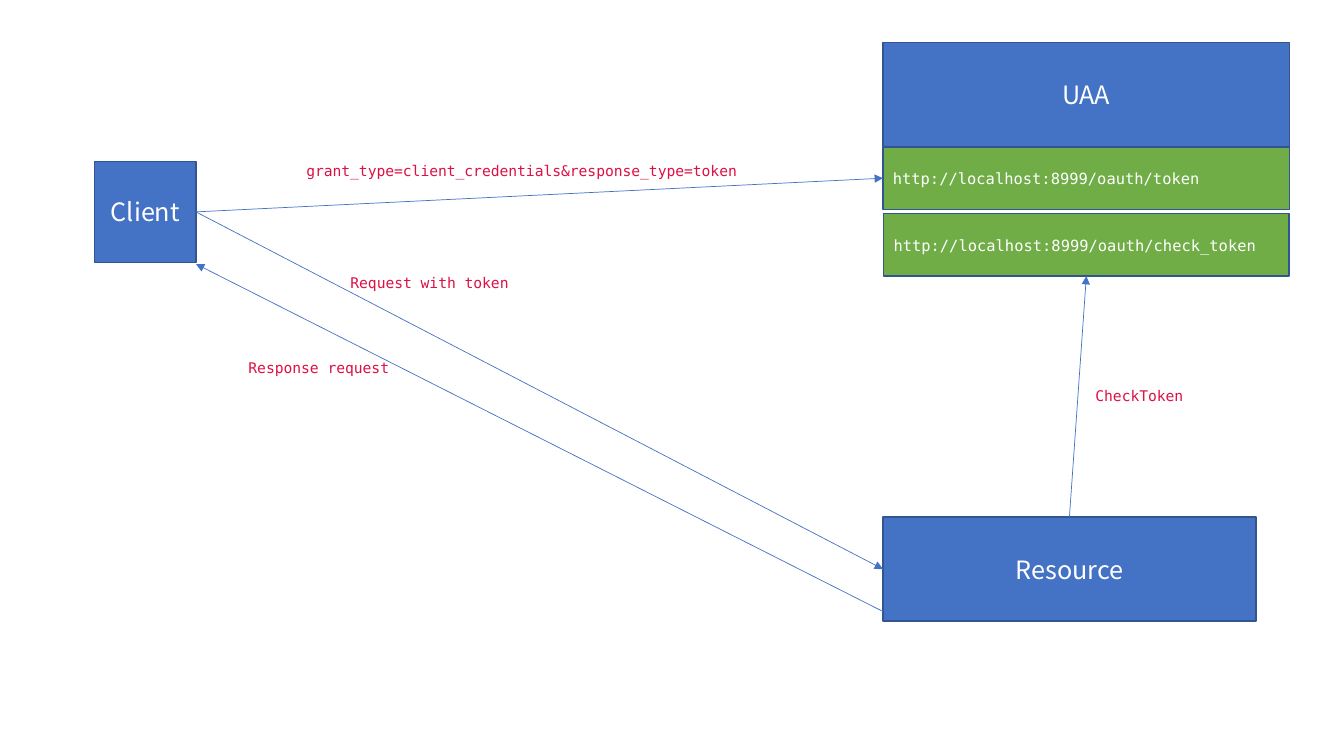
from lxml import etree
from pptx import Presentation
from pptx.dml.color import RGBColor
from pptx.enum.shapes import MSO_CONNECTOR, MSO_SHAPE
from pptx.enum.text import MSO_ANCHOR, MSO_AUTO_SIZE, PP_ALIGN
from pptx.oxml.ns import qn
from pptx.util import Pt

RECTANGLE = MSO_SHAPE.RECTANGLE
STRAIGHT = MSO_CONNECTOR.STRAIGHT
MIDDLE = MSO_ANCHOR.MIDDLE
GROW = MSO_AUTO_SIZE.SHAPE_TO_FIT_TEXT
LEFT, CENTER = PP_ALIGN.LEFT, PP_ALIGN.CENTER

COLORS = {
    "party": "4472C4",
    "endpoint": "70AD47",
    "border": "325491",
    "white": "FFFFFF",
    "label": "DD1144",
}
SANS = "Noto Sans CJK SC"
MONO = "DejaVu Sans Mono"
TOP, LEFT_SIDE, BOTTOM, RIGHT_SIDE = range(4)  # rectangle connection sites


class FlowDiagram:
    def __init__(self, slide):
        self.shapes = slide.shapes

    def color(self, name):
        return RGBColor.from_string(COLORS[name])

    def set_text(self, frame, text, font, size, color, align):
        frame.word_wrap = True
        frame.text = text
        paragraph = frame.paragraphs[0]
        paragraph.alignment = align
        style = paragraph.runs[0].font
        style.name = font
        style.size = Pt(size)
        style.color.rgb = self.color(color)

    def box(self, bounds, text, fill, font, size, align):
        box = self.shapes.add_shape(RECTANGLE, *map(Pt, bounds))
        box.shadow.inherit = False
        box.fill.solid()
        box.fill.fore_color.rgb = self.color(fill)
        box.line.color.rgb = self.color("border")
        box.line.width = Pt(1)
        box.text_frame.vertical_anchor = MIDDLE
        self.set_text(box.text_frame, text, font, size, "white", align)
        return box

    def party(self, bounds, text):
        return self.box(bounds, text, "party", SANS, 18, CENTER)

    def endpoint(self, bounds, text):
        return self.box(bounds, text, "endpoint", MONO, 11, LEFT)

    def label(self, bounds, text):
        frame = self.shapes.add_textbox(*map(Pt, bounds)).text_frame
        self.set_text(frame, text, MONO, 10.5, "label", LEFT)
        frame.auto_size = GROW

    def arrow(self, start=(0, 0), end=(0, 0)):
        arrow = self.shapes.add_connector(STRAIGHT, *map(Pt, (*start, *end)))
        arrow.line.color.rgb = self.color("party")
        arrow.line.width = Pt(0.5)
        properties = arrow._element.spPr
        outline = properties.find(qn("a:ln"))
        etree.SubElement(outline, qn("a:tailEnd"), type="triangle")
        etree.SubElement(properties, qn("a:effectLst"))
        return arrow

    def link(self, source, source_site, target, target_site):
        arrow = self.arrow()
        arrow.begin_connect(source, source_site)
        arrow.end_connect(target, target_site)


def main():
    presentation = Presentation()
    presentation.slide_width = Pt(960)
    presentation.slide_height = Pt(540)
    slide = presentation.slides.add_slide(presentation.slide_layouts[6])
    diagram = FlowDiagram(slide)

    # Authorization server with its endpoints
    diagram.party((630.7, 30.3, 290.2, 74.5), "UAA")
    token = diagram.endpoint(
        (630.7, 105, 290.2, 44.6), "http://localhost:8999/oauth/token")
    check_token = diagram.endpoint(
        (631.2, 152.6, 289.6, 44.6), "http://localhost:8999/oauth/check_token")

    # Client and resource server
    client = diagram.party((67.7, 115.2, 72.3, 72.3), "Client")
    resource = diagram.party((630.7, 369.3, 266.4, 74.4), "Resource")

    # Calls between the parties
    diagram.link(client, RIGHT_SIDE, token, LEFT_SIDE)
    diagram.link(client, RIGHT_SIDE, resource, LEFT_SIDE)
    diagram.link(resource, TOP, check_token, BOTTOM)
    diagram.arrow((630.7, 436.8), (140, 188.6))

    # Call descriptions
    diagram.label((211.7, 112.2, 480, 20.6),
                  "grant_type=client_credentials&response_type=token")
    diagram.label((243.2, 191.8, 180.7, 20.6), "Request with token")
    diagram.label((775.4, 272.9, 95.8, 20.6), "CheckToken")
    diagram.label((170.4, 252.7, 180.7, 20.6), "Response request")

    presentation.save("out.pptx")


if __name__ == "__main__":
    main()
